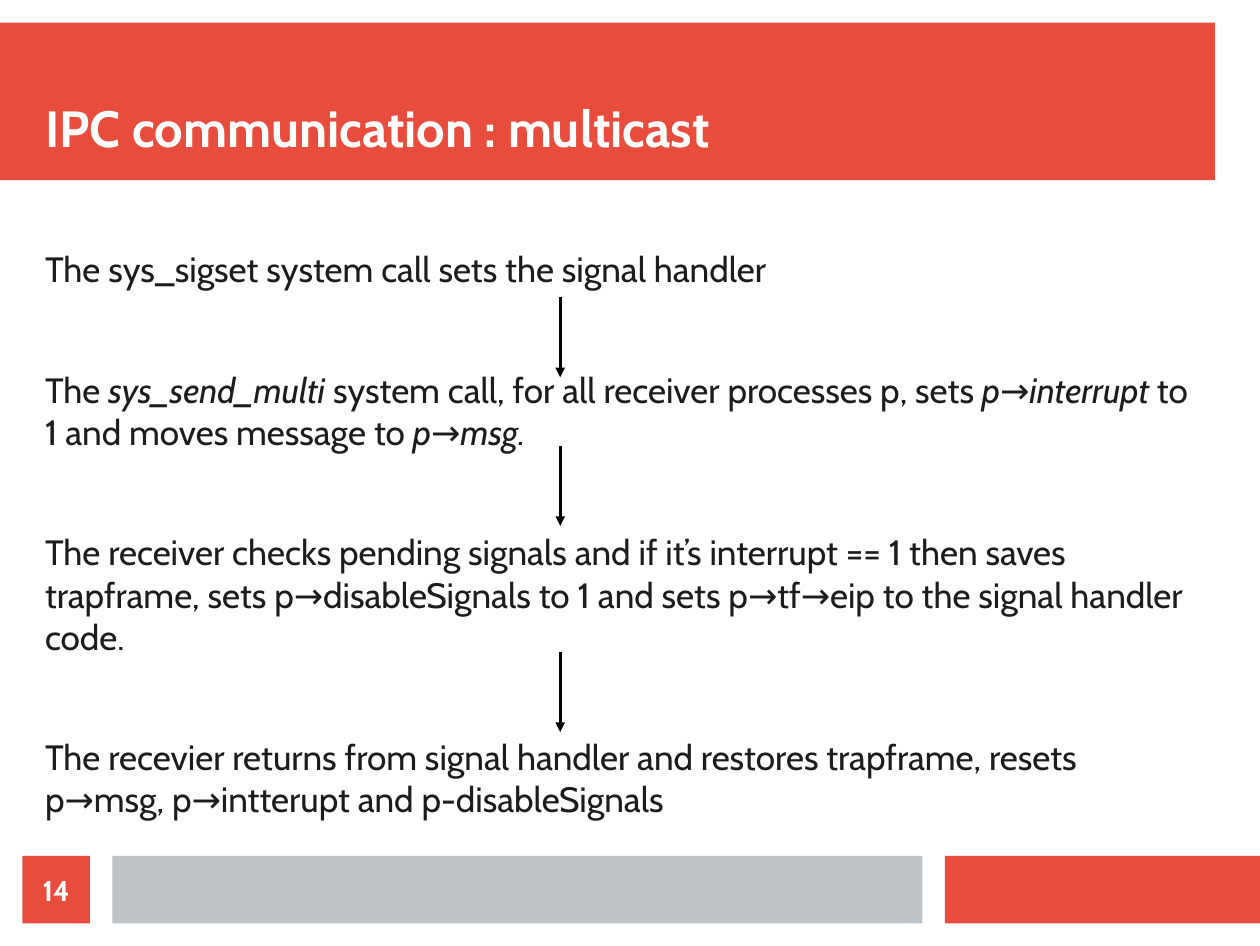
import pptx
import pptx.dml.color
import pptx.enum.shapes
import pptx.enum.text
import pptx.oxml
import pptx.oxml.ns
import pptx.util

COLUMNS, ROWS = 56, 42
RED, GREY, WHITE, INK, BLACK = "E74C3C", "BDC3C7", "FFFFFF", "1C1C1C", "000000"


def color(value):
    return pptx.dml.color.RGBColor.from_string(value)


class Deck:
    font = "Cabin"
    namespace = pptx.oxml.ns.nsdecls("a")

    def __init__(self, width, height):
        self.presentation = pptx.Presentation()
        self.presentation.slide_width = pptx.util.Inches(width)
        self.presentation.slide_height = pptx.util.Inches(height)
        self.slide = self.presentation.slides.add_slide(self.presentation.slide_layouts[1])

    def x(self, columns):
        return round(self.presentation.slide_width * columns / COLUMNS)

    def y(self, rows):
        return round(self.presentation.slide_height * rows / ROWS)

    def box(self, left, top, width, height):
        return self.x(left), self.y(top), self.x(width), self.y(height)

    def add_text(self, shape, paragraphs, size, ink, anchor, bold=False, align="LEFT", gap=0):
        frame = shape.text_frame
        frame.word_wrap = True
        frame.auto_size = pptx.enum.text.MSO_AUTO_SIZE.NONE
        frame.vertical_anchor = getattr(pptx.enum.text.MSO_ANCHOR, anchor)
        frame.margin_left = frame.margin_top = frame.margin_right = frame.margin_bottom = 0
        for index, pieces in enumerate(paragraphs):
            paragraph = frame.add_paragraph() if index else frame.paragraphs[0]
            paragraph.alignment = getattr(pptx.enum.text.PP_ALIGN, align)
            paragraph.space_before = pptx.util.Pt(0)
            paragraph.space_after = pptx.util.Pt(gap)
            properties = paragraph._p.get_or_add_pPr()
            properties.set("marL", "0")
            properties.set("indent", "0")
            properties.append(pptx.oxml.parse_xml(f"<a:buNone {self.namespace}/>"))
            for text, italic in pieces:
                run = paragraph.add_run()
                run.text = text
                run.font.name = self.font
                run.font.size = pptx.util.Pt(size)
                run.font.bold = bold
                run.font.italic = italic
                run.font.color.rgb = color(ink)

    def block(self, area, fill):
        shape = self.slide.shapes.add_shape(
            pptx.enum.shapes.MSO_SHAPE.RECTANGLE, *self.box(*area))
        shape.shadow.inherit = False
        shape.fill.solid()
        shape.fill.fore_color.rgb = color(fill)
        shape.line.fill.background()
        return shape

    def placeholder(self, index, area):
        shape = self.slide.placeholders[index]
        shape.left, shape.top, shape.width, shape.height = self.box(*area)
        shape.element.getparent().append(shape.element)
        return shape

    def arrow(self, column, top, length):
        connector = self.slide.shapes.add_connector(
            pptx.enum.shapes.MSO_CONNECTOR.STRAIGHT,
            self.x(column), self.y(top), self.x(column), self.y(top + length))
        connector.line.color.rgb = color(BLACK)
        connector.line.width = pptx.util.Pt(0)
        properties = connector.element.spPr
        properties.find(pptx.oxml.ns.qn("a:ln")).append(
            pptx.oxml.parse_xml(f'<a:tailEnd {self.namespace} type="triangle"/>'))
        properties.append(pptx.oxml.parse_xml(f"<a:effectLst {self.namespace}/>"))


def main():
    deck = Deck(11.02, 8.27)

    deck.block((0, 1, 54, 7), RED)
    deck.block((42, 38, 14, 3), RED)
    deck.block((5, 38, 36, 3), GREY)

    steps = [
        [("The sys_sigset system call sets the signal handler", False)],
        [("The ", False), ("sys_send_multi ", True),
         ("system call, for all receiver processes p, sets ", False),
         ("p→interrupt", True), (" to 1 and moves message to ", False), ("p→msg.", True)],
        [("The receiver checks pending signals and if it’s interrupt == 1 then saves "
          "trapframe, sets p→disableSignals to 1 and sets p→tf→eip to the signal "
          "handler code.", False)],
        [("The recevier returns from signal handler and restores trapframe, resets "
          "p→msg, p→intterupt and p-disableSignals", False)],
    ]
    sequence = deck.placeholder(1, (2, 11, 51, 26))
    deck.add_text(sequence, steps, 22.1, INK, "TOP", gap=49.3)

    heading = deck.placeholder(0, (2, 2, 52, 5))
    deck.add_text(heading, [[("IPC communication : multicast", False)]], 32, WHITE, "BOTTOM",
                  bold=True)

    for top in (13.2, 19.8, 28.95):
        deck.arrow(24.9, top, 3.55)

    page_number = deck.block((1, 38, 3, 3), RED)
    deck.add_text(page_number, [[("14", False)]], 18, WHITE, "MIDDLE", bold=True, align="CENTER")

    deck.presentation.save("out.pptx")


if __name__ == "__main__":
    main()
